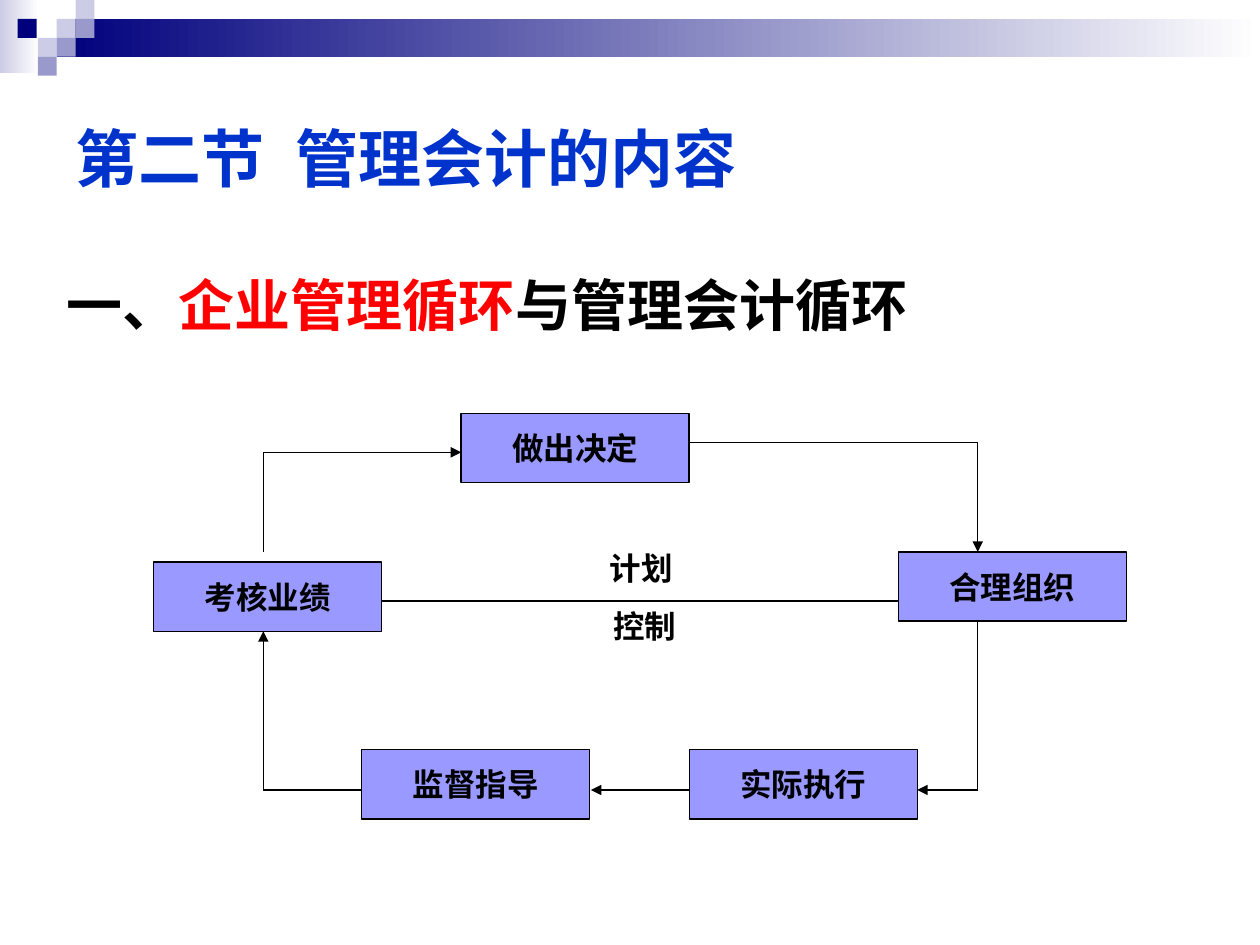
from lxml.etree import SubElement
from pptx import Presentation
from pptx.dml.color import RGBColor
from pptx.enum.shapes import MSO_CONNECTOR as Connector, MSO_SHAPE as Shape
from pptx.enum.text import MSO_ANCHOR as Anchor, PP_ALIGN as Align
from pptx.oxml.ns import qn
from pptx.util import Inches, Pt

WHITE = RGBColor(0xFF, 0xFF, 0xFF)
BLACK = RGBColor(0x00, 0x00, 0x00)
RED = RGBColor(0xFF, 0x00, 0x00)
BLUE = RGBColor(0x00, 0x33, 0xCC)
NAVY = RGBColor(0x00, 0x00, 0x7D)
PALE = RGBColor(0xCC, 0xCC, 0xE6)
LAVENDER = RGBColor(0x99, 0x99, 0xCC)
BOX_FILL = RGBColor(0x99, 0x99, 0xFF)

FONT = "Arial"
BOX_WIDTH, BOX_HEIGHT = 1.81, 0.55
TILE = 0.15
LEFT_LANE, RIGHT_LANE, BOTTOM_LANE = 2.09, 7.76, 6.27

TILES = [
    (0.45, 0.15, PALE), (0.6, 0, PALE), (0.6, 0.15, LAVENDER),
    (0.3, 0.3, PALE), (0.14, 0.15, NAVY), (0.45, 0.3, LAVENDER),
    (0.3, 0.45, LAVENDER),
]
STEPS = [
    ("做出决定", 3.66, 3.28), ("合理组织", 7.13, 4.38), ("考核业绩", 1.22, 4.46),
    ("监督指导", 2.87, 5.95), ("实际执行", 5.47, 5.95),
]
LINES = [
    ((LEFT_LANE, 4.38), (LEFT_LANE, 3.59), False),
    ((LEFT_LANE, 3.59), (3.66, 3.59), True),
    ((5.47, 3.51), (RIGHT_LANE, 3.51), False),
    ((RIGHT_LANE, 3.51), (RIGHT_LANE, 4.38), True),
    ((3.03, 4.77), (7.13, 4.77), False),
    ((RIGHT_LANE, 4.93), (RIGHT_LANE, BOTTOM_LANE), False),
    ((RIGHT_LANE, BOTTOM_LANE), (7.28, BOTTOM_LANE), True),
    ((5.47, BOTTOM_LANE), (4.69, BOTTOM_LANE), True),
    ((2.87, BOTTOM_LANE), (LEFT_LANE, BOTTOM_LANE), False),
    ((LEFT_LANE, BOTTOM_LANE), (LEFT_LANE, 5.01), True),
]


def add_rectangle(slide, left, top, width, height):
    shape = slide.shapes.add_shape(
        Shape.RECTANGLE, Inches(left), Inches(top), Inches(width), Inches(height))
    shape.shadow.inherit = False
    shape.line.fill.background()
    return shape


def add_tile(slide, left, top, color):
    shape = add_rectangle(slide, left, top, TILE, TILE)
    shape.fill.solid()
    shape.fill.fore_color.rgb = color


def add_gradient(slide, left, top, width, height, start, end):
    fill = add_rectangle(slide, left, top, width, height).fill
    fill.gradient()
    fill.gradient_angle = 0
    for stop, color in zip(fill.gradient_stops, (start, end)):
        stop.color.rgb = color


def add_runs(paragraph, pieces, size):
    for text, color in pieces:
        run = paragraph.add_run()
        run.text = text
        run.font.name = FONT
        run.font.size = Pt(size)
        run.font.bold = True
        run.font.color.rgb = color


def add_text(slide, left, top, width, height, pieces, size, wrap=True):
    box = slide.shapes.add_textbox(
        Inches(left), Inches(top), Inches(width), Inches(height))
    box.text_frame.word_wrap = wrap
    add_runs(box.text_frame.paragraphs[0], pieces, size)
    return box.text_frame


def add_title(slide):
    frame = add_text(slide, 0.5, 0.5, 9, 1.5, [], 36)
    frame.vertical_anchor = Anchor.MIDDLE
    paragraph = frame.paragraphs[0]
    tabs = SubElement(paragraph._p.get_or_add_pPr(), qn("a:tabLst"))
    SubElement(tabs, qn("a:tab"), pos=str(Inches(1.75)), algn="l")
    add_runs(paragraph, [("第二节\t管理会计的内容", BLUE)], 36)


def add_step(slide, text, left, top):
    shape = add_rectangle(slide, left, top, BOX_WIDTH, BOX_HEIGHT)
    shape.fill.solid()
    shape.fill.fore_color.rgb = BOX_FILL
    shape.line.color.rgb = BLACK
    shape.line.width = Pt(0.75)
    frame = shape.text_frame
    frame.word_wrap = False
    frame.vertical_anchor = Anchor.MIDDLE
    paragraph = frame.paragraphs[0]
    paragraph.alignment = Align.CENTER
    add_runs(paragraph, [(text, BLACK)], 18)


def add_line(slide, start, end, arrow):
    points = [Inches(value) for value in start + end]
    connector = slide.shapes.add_connector(Connector.STRAIGHT, *points)
    connector.line.color.rgb = BLACK
    connector.line.width = Pt(0.75)
    properties = connector._element.spPr
    if arrow:
        SubElement(properties.find(qn("a:ln")), qn("a:tailEnd"), type="triangle")
    SubElement(properties, qn("a:effectLst"))


def main():
    presentation = Presentation()
    presentation.slide_width = Inches(10)
    presentation.slide_height = Inches(7.5)
    slide = presentation.slides.add_slide(presentation.slide_layouts[6])

    add_gradient(slide, 0, 0, 0.31, 0.58, PALE, WHITE)
    add_gradient(slide, 0.45, 0.15, 9.55, 0.3, NAVY, WHITE)
    for tile in TILES:
        add_tile(slide, *tile)

    add_title(slide)
    heading = [("一、", BLACK), ("企业管理循环", RED), ("与管理会计循环", BLACK)]
    add_text(slide, 0.43, 2.1, 9, 4.25, heading, 32)

    for step in STEPS:
        add_step(slide, *step)
    for line in LINES:
        add_line(slide, *line)
    add_text(slide, 4.74, 4.31, 0.7, 0.4, [("计划", BLACK)], 18, wrap=False)
    add_text(slide, 4.77, 4.77, 0.7, 0.4, [("控制", BLACK)], 18, wrap=False)

    presentation.save("out.pptx")


if __name__ == "__main__":
    main()
